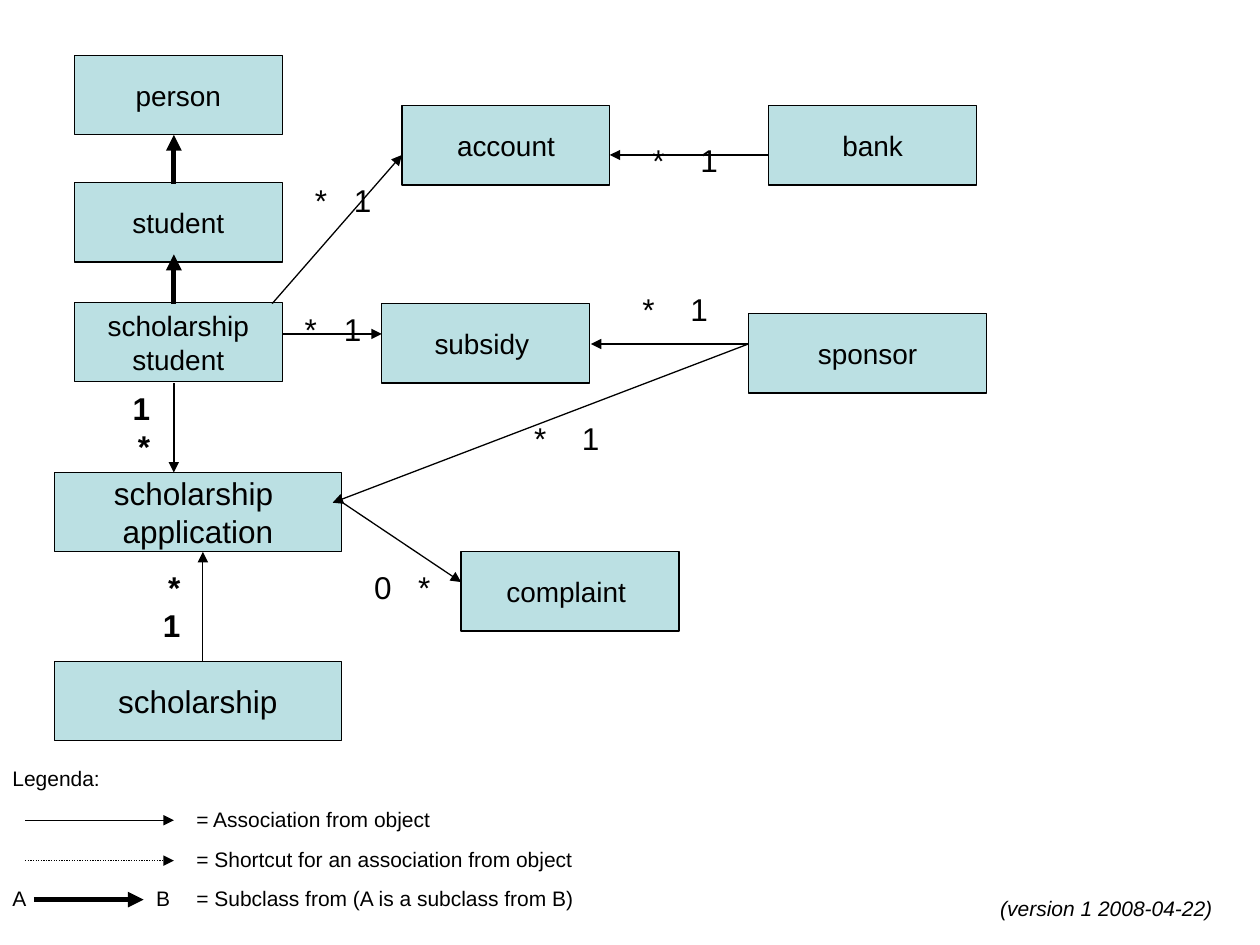
from dataclasses import dataclass

from lxml.etree import SubElement
from pptx import Presentation
from pptx.dml.color import RGBColor
from pptx.enum.dml import MSO_LINE
from pptx.enum.shapes import MSO_CONNECTOR, MSO_SHAPE
from pptx.enum.text import MSO_ANCHOR, PP_ALIGN
from pptx.oxml.ns import qn
from pptx.util import Pt

PX = 9144


@dataclass(frozen=True)
class Theme:
    """Colours, type sizes and line widths of the class diagram."""
    font: str = "Arial"
    ink: RGBColor = RGBColor(0x00, 0x00, 0x00)
    fill: RGBColor = RGBColor(0xBB, 0xE0, 0xE3)
    small: int = 12
    medium: int = 16
    large: int = 18
    thin: float = 0.75
    thick: float = 3


@dataclass(frozen=True)
class Box:
    """An area of the page in px."""
    left: int
    top: int
    width: int
    height: int

    def inner(self, left, top, width, height):
        """Return an area given relative to this one."""
        return Box(self.left + left, self.top + top, width, height)

    def emu(self):
        """Return left, top, width and height in EMU."""
        return [PX * side for side in (self.left, self.top, self.width, self.height)]


THEME = Theme()
CLASS_HEIGHT = 63
LABEL_HEIGHT = 40


def style(para, size, align=PP_ALIGN.LEFT, bold=False, italic=False):
    """Set the alignment and font of a paragraph."""
    para.alignment = align
    font = para.font
    font.name, font.size = THEME.font, Pt(size)
    font.bold, font.italic = bold, italic
    font.color.rgb = THEME.ink


def add_text(page, box, text, size=THEME.small, tab=None, wrap=True, **look):
    """Add a text box, with an optional tab stop in px."""
    frame = page.shapes.add_textbox(*box.emu()).text_frame
    frame.word_wrap = wrap
    frame.text = text
    para = frame.paragraphs[0]
    if tab:
        stops = SubElement(para._p.get_or_add_pPr(), qn("a:tabLst"))
        SubElement(stops, qn("a:tab"), pos=str(tab * PX), algn="l")
    style(para, size, **look)


def add_class(page, box, text, size):
    """Add the rectangle of one class with its centred name."""
    shape = page.shapes.add_shape(MSO_SHAPE.RECTANGLE, *box.emu())
    shape.shadow.inherit = False
    shape.fill.solid()
    shape.fill.fore_color.rgb = THEME.fill
    shape.line.color.rgb = THEME.ink
    shape.line.width = Pt(THEME.thin)
    frame = shape.text_frame
    frame.word_wrap = False
    frame.vertical_anchor = MSO_ANCHOR.MIDDLE
    frame.text = text
    for para in frame.paragraphs:
        style(para, size, PP_ALIGN.CENTER)


def add_arrow(page, box, start, end, width=THEME.thin, dash=None):
    """Add an arrow between two points relative to the box."""
    points = [PX * side for x, y in (start, end) for side in (box.left + x, box.top + y)]
    arrow = page.shapes.add_connector(MSO_CONNECTOR.STRAIGHT, *points)
    arrow.line.color.rgb = THEME.ink
    arrow.line.width = Pt(width)
    if dash:
        arrow.line.dash_style = dash
    SubElement(arrow.line._get_or_add_ln(), qn("a:tailEnd"), type="triangle")
    SubElement(arrow._element.spPr, qn("a:effectLst"))


def draw_diagram(page, box):
    """Draw the classes, their relations and the multiplicities."""
    classes = [
        ("person", 16, 0, 165, THEME.medium),
        ("student", 16, 101, 165, THEME.medium),
        ("scholarship\nstudent", 16, 196, 165, THEME.medium),
        ("scholarship \napplication", 0, 331, 228, THEME.large),
        ("scholarship", 0, 481, 228, THEME.large),
        ("account", 276, 40, 165, THEME.medium),
        ("bank", 567, 40, 165, THEME.medium),
        ("subsidy ", 260, 197, 165, THEME.medium),
        ("sponsor", 551, 205, 189, THEME.medium),
        ("complaint ", 323, 394, 173, THEME.medium),
    ]
    for name, left, top, width, size in classes:
        add_class(page, box.inner(left, top, width, CLASS_HEIGHT), name, size)

    associations = [
        ((95, 260), (95, 331)),
        ((118, 481), (118, 394)),
        ((173, 197), (276, 79)),
        ((181, 221), (260, 221)),
        ((567, 79), (441, 79)),
        ((551, 229), (426, 229)),
        ((551, 229), (221, 355)),
        ((229, 355), (323, 418)),
    ]
    for start, end in associations:
        add_arrow(page, box, start, end)
    for bottom in (102, 197):
        add_arrow(page, box, (95, bottom), (95, bottom - 39), THEME.thick)

    multiplicities = [
        ("*\t1", 197, 95, 31),
        ("*\t1", 189, 197, 31),
        ("*\t1", 465, 63, 38),
        ("*\t1", 457, 181, 38),
        ("*\t1", 371, 284, 38),
        ("0\t*", 244, 402, 35),
    ]
    for text, left, top, tab in multiplicities:
        add_text(page, box.inner(left, top, 79, LABEL_HEIGHT), text, THEME.large, tab)
    for text, left, top in (("1*", 47, 260), ("*1", 71, 402)):
        add_text(page, box.inner(left, top, 39, 70), text, THEME.large,
                 align=PP_ALIGN.RIGHT, bold=True)


def draw_legend(page, box):
    """Draw the legend heading and its three kinds of arrow."""
    row_height, pitch, first, middle = 30, 32, 32, 16
    add_text(page, box.inner(0, 0, 165, row_height), "Legenda:")
    entries = [
        ("= Association from object", 20, 138, THEME.thin, None),
        ("= Shortcut for an association from object", 20, 138, THEME.thin,
         MSO_LINE.ROUND_DOT),
        ("= Subclass from (A is a subclass from B)", 27, 114, THEME.thick, None),
    ]
    for row, (text, start, end, width, dash) in enumerate(entries):
        top = first + row * pitch - row // 2
        add_arrow(page, box, (start, top + middle), (end, top + middle), width, dash)
        add_text(page, box.inner(146, top, 339, row_height), text)
    for letter, left in (("A", 0), ("B", 114)):
        add_text(page, box.inner(left, top, 31, row_height), letter, wrap=False)


def draw_version(page, box):
    """Write the version note."""
    add_text(page, box, "(version 1 2008-04-22)", italic=True)


def main():
    """Build and save the deck."""
    deck = Presentation()
    deck.slide_width, deck.slide_height = 1000 * PX, 750 * PX
    page = deck.slides.add_slide(deck.slide_layouts[6])
    draw_diagram(page, Box(43, 44, 740, 544))
    draw_legend(page, Box(0, 603, 485, 125))
    draw_version(page, Box(784, 706, 197, 30))
    deck.save("out.pptx")


if __name__ == "__main__":
    main()
